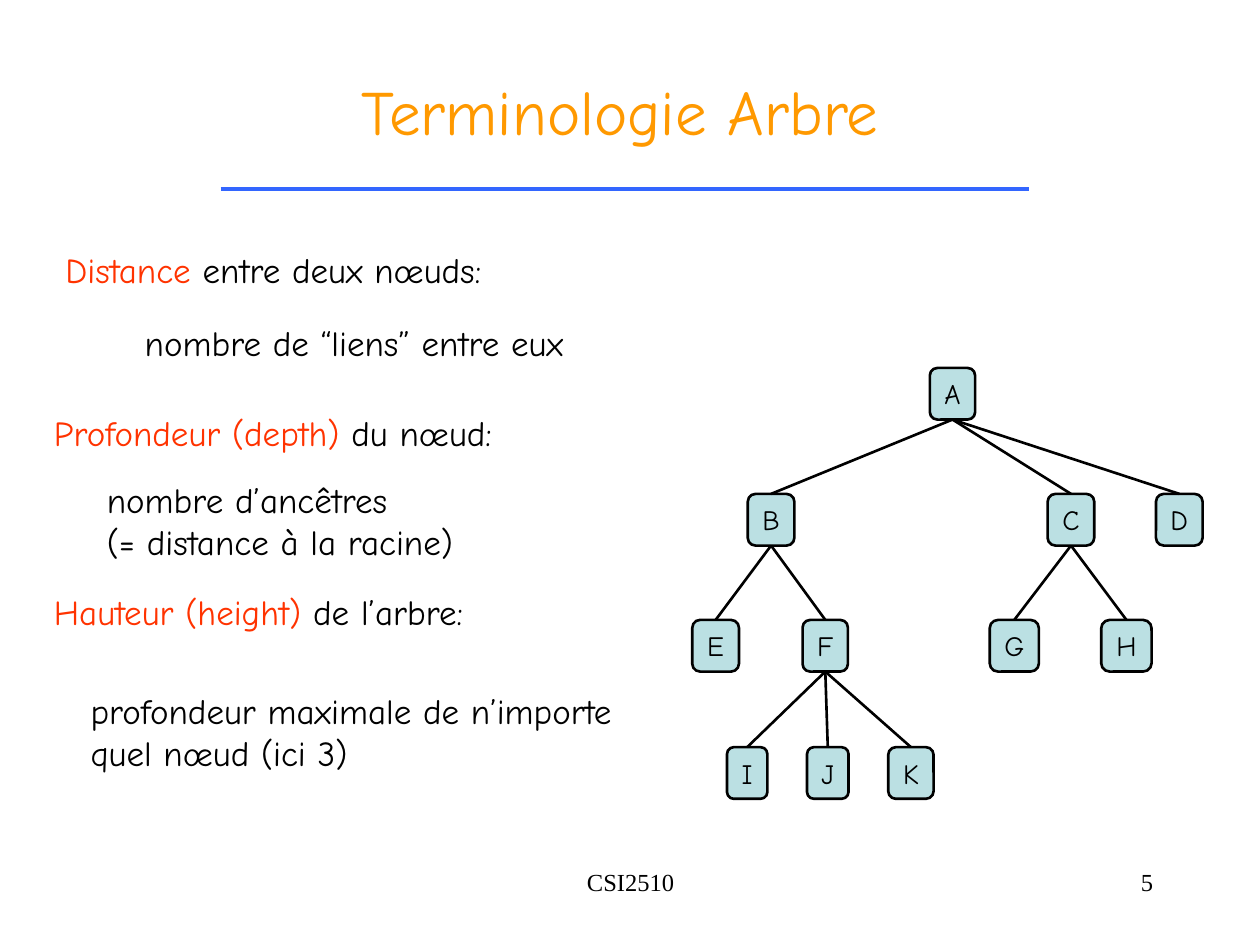
"""Build a slide on tree terminology: three definitions beside a sample tree."""
import pptx
import pptx.dml.color
import pptx.enum.shapes
import pptx.enum.text
import pptx.oxml
import pptx.util

Inches = pptx.util.Inches
Pt = pptx.util.Pt
Align = pptx.enum.text.PP_ALIGN
Anchor = pptx.enum.text.MSO_ANCHOR


def paint(color_format, hex_string):
    color_format.rgb = pptx.dml.color.RGBColor.from_string(hex_string)


def write(frame, lines, size, font="Comic Neue", align=Align.LEFT, anchor=Anchor.TOP, wrap=True):
    frame_format = {"word_wrap": wrap, "vertical_anchor": anchor,
                    "auto_size": pptx.enum.text.MSO_AUTO_SIZE.NONE,
                    "margin_left": Inches(0.1), "margin_right": Inches(0.1),
                    "margin_top": Inches(0.05), "margin_bottom": Inches(0.05)}
    for name, value in frame_format.items():
        setattr(frame, name, value)
    for index, line in enumerate(lines):
        paragraph = frame.add_paragraph() if index else frame.paragraphs[0]
        paragraph.alignment = align
        for words, color in line:
            run = paragraph.add_run()
            run.text = words
            for name, value in {"name": font, "size": Pt(size), "bold": False}.items():
                setattr(run.font, name, value)
            paint(run.font.color, color)


BLACK, RED, ORANGE = "000000", "FF3300", "FF9900"
BLUE, TEAL = "3366FF", "BBE0E3"

deck = pptx.Presentation()
deck.slide_width, deck.slide_height = Inches(10), Inches(7.5)
slide = deck.slides.add_slide(deck.slide_layouts[5])
shapes = slide.shapes

title = shapes.title
title_place = {"left": 0.67, "top": 0.25, "width": 8.5, "height": 1.25}
for name, value in title_place.items():
    setattr(title, name, Inches(value))
write(title.text_frame, [[("Terminologie Arbre", ORANGE)]], 36,
      align=Align.CENTER, anchor=Anchor.MIDDLE)

definitions = [
    (0.42, 1.92, 5, 0.44, [[("Distance ", RED), ("entre deux nœuds:", BLACK)]]),
    (1.05, 2.5, 3.72, 0.44, [[("nombre de “liens” entre eux", BLACK)]]),
    (0.33, 3.22, 5, 0.44, [[("Profondeur (depth)", RED), (" du nœud:", BLACK)]]),
    (0.75, 3.75, 2.96, 0.77, [[("nombre d’ancêtres", BLACK)],
                              [("(= distance à la racine)", BLACK)]]),
    (0.33, 4.64, 5, 0.44, [[("Hauteur (height) ", RED), ("de l’arbre:", BLACK)]]),
    (0.62, 5.42, 4.45, 0.77, [[("profondeur maximale de n’importe", BLACK)],
                              [("quel nœud (ici 3)", BLACK)]]),
]
for left, top, width, height, lines in definitions:
    definition = shapes.add_textbox(*map(Inches, (left, top, width, height)))
    write(definition.text_frame, lines, 20, wrap=False)

footers = [(3.42, 3.17, "CSI2510", Align.CENTER), (7.17, 2.08, "5", Align.RIGHT)]
for left, width, words, align in footers:
    footer = shapes.add_textbox(Inches(left), Inches(6.83), Inches(width), Inches(0.5))
    write(footer.text_frame, [[(words, BLACK)]], 14, "Times New Roman", align)

levels = [
    (2.92, [("A", 7.56, 0.36)]),
    (3.92, [("B", 6.12, 0.37), ("C", 8.5, 0.37), ("D", 9.36, 0.37)]),
    (4.92, [("E", 5.68, 0.37), ("F", 6.55, 0.36), ("G", 8.05, 0.39), ("H", 8.94, 0.4)]),
    (5.93, [("I", 5.93, 0.32), ("J", 6.57, 0.33), ("K", 7.23, 0.36)]),
]
nodes = {}
for top, level in levels:
    for label, center, width in level:
        node = shapes.add_shape(
            pptx.enum.shapes.MSO_SHAPE.ROUNDED_RECTANGLE,
            Inches(center - width / 2), Inches(top), Inches(width), Inches(0.41))
        node.shadow.inherit = False
        node.fill.solid()
        paint(node.fill.fore_color, TEAL)
        paint(node.line.color, BLACK)
        node.line.width = Pt(1.5)
        write(node.text_frame, [[(label, BLACK)]], 16,
              align=Align.CENTER, anchor=Anchor.MIDDLE, wrap=False)
        nodes[label] = node

STRAIGHT = pptx.enum.shapes.MSO_CONNECTOR.STRAIGHT
underline = shapes.add_connector(STRAIGHT, Inches(1.75), Inches(1.5), Inches(8.17), Inches(1.5))
strokes = [(underline, BLUE, 2)]
for parent, children in {"A": "BCD", "B": "EF", "C": "GH", "F": "IJK"}.items():
    for child in children:
        branch = shapes.add_connector(STRAIGHT, 0, 0, 0, 0)
        branch.begin_connect(nodes[parent], 2)
        branch.end_connect(nodes[child], 0)
        strokes.append((branch, BLACK, 1.5))

for stroke, color, weight in strokes:
    paint(stroke.line.color, color)
    stroke.line.width = Pt(weight)
    properties = stroke.element.spPr
    properties.append(properties.makeelement(pptx.oxml.ns.qn("a:effectLst"), {}))

deck.save("out.pptx")
